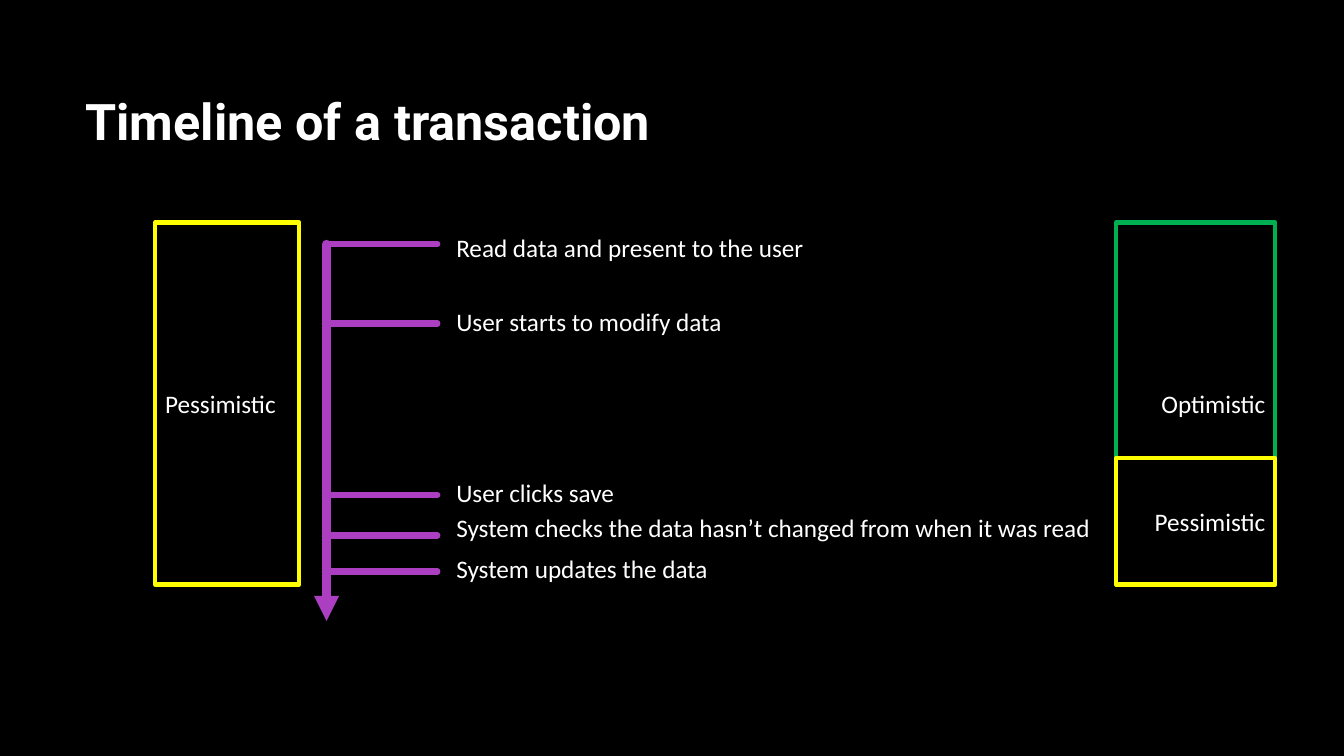
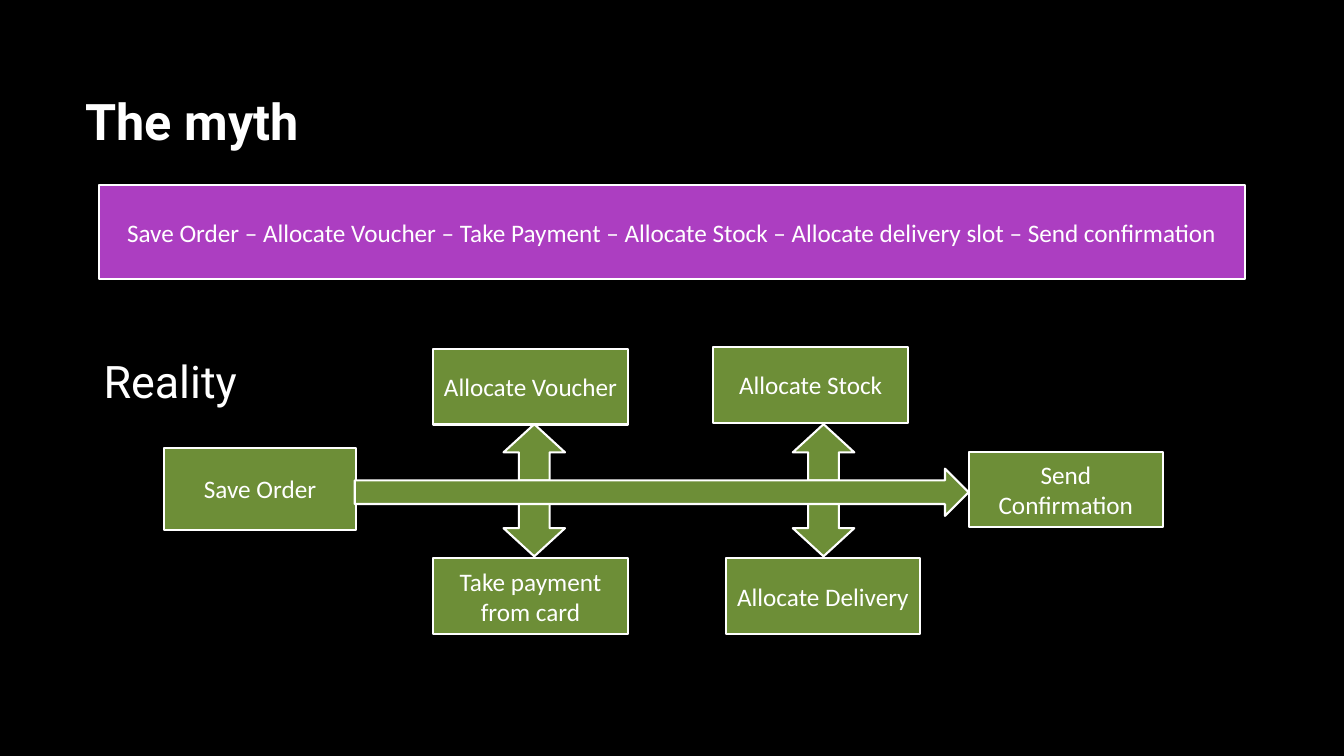
from dataclasses import dataclass

from lxml import etree
from pptx import Presentation
from pptx.dml.color import RGBColor
from pptx.enum.shapes import MSO_CONNECTOR, MSO_SHAPE
from pptx.enum.text import MSO_ANCHOR, MSO_AUTO_SIZE, PP_ALIGN
from pptx.oxml.ns import qn
from pptx.util import Cm, Pt

RECT, RIGHT_ARROW = MSO_SHAPE.RECTANGLE, MSO_SHAPE.RIGHT_ARROW
UP_ARROW, DOWN_ARROW = MSO_SHAPE.UP_ARROW, MSO_SHAPE.DOWN_ARROW
STRAIGHT = MSO_CONNECTOR.STRAIGHT
LEFT, CENTER, RIGHT = PP_ALIGN.LEFT, PP_ALIGN.CENTER, PP_ALIGN.RIGHT
TOP, MIDDLE = MSO_ANCHOR.TOP, MSO_ANCHOR.MIDDLE
TITLE_ONLY = 5


@dataclass(frozen=True)
class Theme:
    background: RGBColor = RGBColor(0x00, 0x00, 0x00)
    text: RGBColor = RGBColor(0xFF, 0xFF, 0xFF)
    purple: RGBColor = RGBColor(0xAC, 0x3E, 0xC1)
    green: RGBColor = RGBColor(0x6D, 0x8E, 0x37)
    optimistic: RGBColor = RGBColor(0x00, 0xB0, 0x50)
    pessimistic: RGBColor = RGBColor(0xFF, 0xFF, 0x00)
    heading_font: str = "Roboto"
    body_font: str = "Calibri"
    title_size: Pt = Pt(36)
    subtitle_size: Pt = Pt(32)
    body_size: Pt = Pt(18)
    outline: Pt = Pt(1.5)
    lock_outline: Pt = Pt(3)
    tick: Pt = Pt(4.5)
    axis: Pt = Pt(6)


THEME = Theme()
BODY = {"name": THEME.body_font, "size": THEME.body_size, "bold": False}
SUBTITLE = {"name": THEME.heading_font, "size": THEME.subtitle_size, "bold": False}
TITLE = {"name": THEME.heading_font, "size": THEME.title_size, "bold": True}


def cm_box(*lengths):
    return [Cm(v) for v in lengths]


def write(shape, text, style=BODY, align=LEFT, anchor=MIDDLE, wrap=True):
    tf = shape.text_frame
    for name, value in {"word_wrap": wrap, "vertical_anchor": anchor,
                        "auto_size": MSO_AUTO_SIZE.NONE}.items():
        setattr(tf, name, value)
    p = tf.paragraphs[0]
    p.alignment = align
    r = p.add_run()
    r.text = text
    for name, value in style.items():
        setattr(r.font, name, value)
    r.font.color.rgb = THEME.text


def add_label(s, box, text, style=BODY, wrap=True):
    write(s.shapes.add_textbox(*cm_box(*box)), text, style, anchor=TOP, wrap=wrap)


def add_block(s, kind, box, text="", fill=None, line=THEME.text,
              width=THEME.outline, align=CENTER):
    """Add an outlined shape; without a fill it stays hollow."""
    shape = s.shapes.add_shape(kind, *cm_box(*box))
    shape.shadow.inherit = False
    if fill is None:
        shape.fill.background()
    else:
        shape.fill.solid()
        shape.fill.fore_color.rgb = fill
    shape.line.color.rgb = line
    shape.line.width = width
    if text:
        write(shape, text, align=align)


def add_line(s, x1, y1, x2, y2, width, arrow=False):
    c = s.shapes.add_connector(STRAIGHT, *cm_box(x1, y1, x2, y2))
    c.line.color.rgb = THEME.purple
    c.line.width = width
    sp_pr = c.element.spPr
    ln = sp_pr.find(qn("a:ln"))
    ln.set("cap", "rnd")
    if arrow:
        etree.SubElement(ln, qn("a:tailEnd"), type="triangle")
    etree.SubElement(sp_pr, qn("a:effectLst"))


def add_titled_slide(prs, title):
    s = prs.slides.add_slide(prs.slide_layouts[TITLE_ONLY])
    sp = s.shapes.title
    sp.left, sp.top, sp.width, sp.height = cm_box(1.9, 1.7, 28.15, 2.67)
    write(sp, title, TITLE)
    return s


def add_timeline(s, x, y, length):
    """Draw the time axis down from (x, y), with a tick and a label per step."""
    tick, gap, label_width, label_height = 2.79, 0.23, 16.87, 1.02
    steps = [  # tick offset, label offset, label
        (0, -0.43, "Read data and present to the user"),
        (2, 1.44, "User starts to modify data"),
        (6.32, 5.76, "User clicks save"),
        (7.34, 6.63, "System checks the data hasn’t changed from when it was read"),
        (8.25, 7.67, "System updates the data"),
    ]
    add_line(s, x, y, x, y + length, THEME.axis, arrow=True)
    for tick_dy, label_dy, text in steps:
        add_line(s, x + tick, y + tick_dy, x, y + tick_dy, THEME.tick)
        add_label(s, (x + tick + gap, y + label_dy, label_width, label_height), text)


def add_lock_spans(s, y, height):
    """Show how long each kind of locking lasts beside the timeline."""
    late = 3.18
    spans = [
        ("Pessimistic", 3.91, 3.63, height, THEME.pessimistic, LEFT),
        ("Optimistic", 28.13, 4.01, height, THEME.optimistic, RIGHT),
        ("Pessimistic", 28.13, 4.01, late, THEME.pessimistic, RIGHT),
    ]
    for text, x, w, h, color, align in spans:
        add_block(s, RECT, (x, y + height - h, w, h), text, line=color,
                  width=THEME.lock_outline, align=align)


def add_order_flow(s, x, y):
    """Draw the order process with its side steps from the top left (x, y)."""
    step_w, step_h = 4.9, 1.91
    arrow_w, arrow_h = 1.55, 1.42
    steps = [
        ("Save Order", 0, 2.54, 4.83, 2.08),
        ("Allocate Voucher", 6.78, 0.05, step_w, step_h),
        ("Take payment from card", 6.78, 5.33, step_w, step_h),
        ("Allocate Stock", 13.84, 0, step_w, step_h),
        ("Allocate Delivery", 14.15, 5.33, step_w, step_h),
        ("Send Confirmation", 20.27, 2.64, step_w, step_h),
    ]
    for arrow_x in (8.55, 15.84):
        for kind, dy in ((UP_ARROW, 1.95), (DOWN_ARROW, 3.86)):
            add_block(s, kind, (x + arrow_x, y + dy, arrow_w, arrow_h),
                      fill=THEME.green)
    for text, dx, dy, w, h in steps:
        add_block(s, RECT, (x + dx, y + dy, w, h), text, fill=THEME.green)
    add_block(s, RIGHT_ARROW, (x + 4.8, y + 3.07, 15.47, 1.19), fill=THEME.green)


def build_timeline_slide(prs):
    s = add_titled_slide(prs, "Timeline of a transaction")
    add_timeline(s, 8.23, 6.15, 9.5)
    add_lock_spans(s, 5.61, 9.12)


def build_myth_slide(prs):
    s = add_titled_slide(prs, "The myth")
    add_block(s, RECT, (2.49, 4.67, 28.88, 2.36),
              "Save Order – Allocate Voucher – Take Payment – Allocate Stock"
              " – Allocate delivery slot – Send confirmation", fill=THEME.purple)
    add_order_flow(s, 4.14, 8.74)
    add_label(s, (2.36, 8.79, 4.19, 1.63), "Reality", SUBTITLE, wrap=False)


def main():
    prs = Presentation()
    prs.slide_width, prs.slide_height = Cm(33.87), Cm(19.05)
    fill = prs.slide_master.background.fill
    fill.solid()
    fill.fore_color.rgb = THEME.background
    build_timeline_slide(prs)
    build_myth_slide(prs)
    prs.save("out.pptx")


if __name__ == "__main__":
    main()
